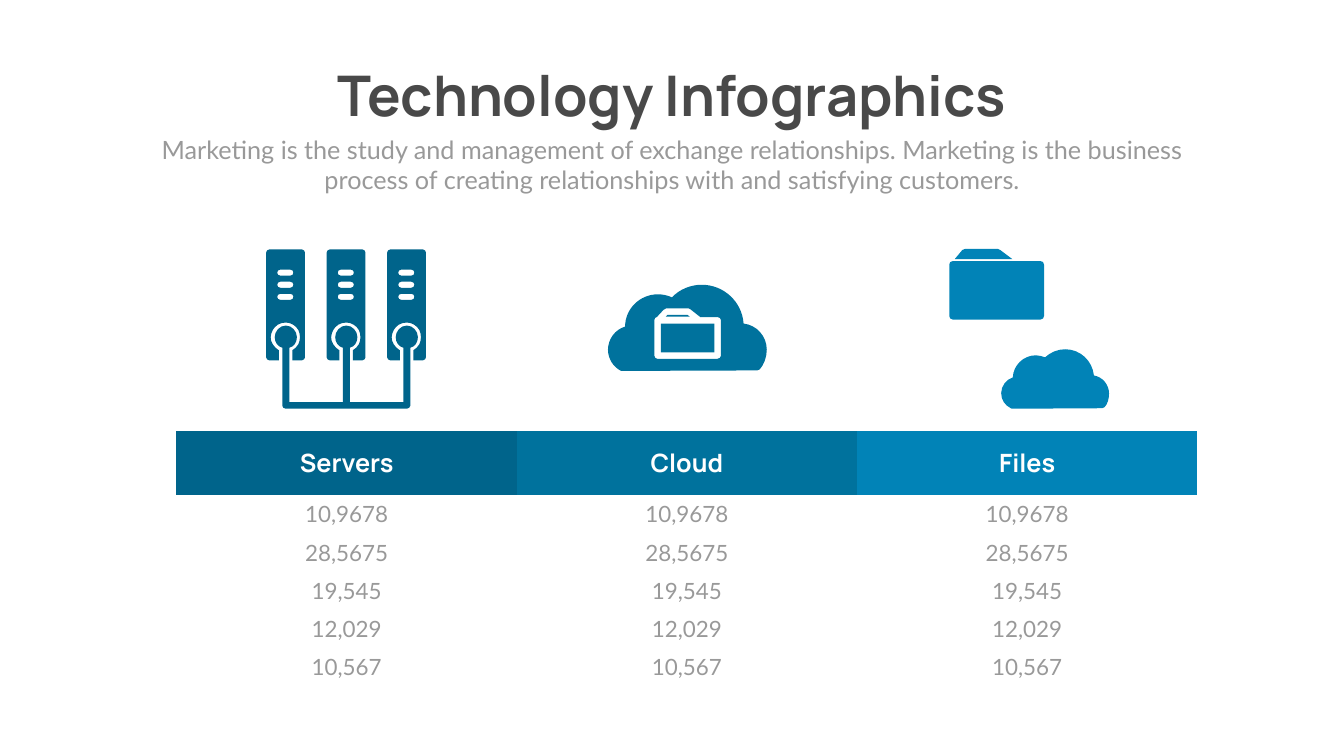
from lxml import etree
from pptx import Presentation
from pptx.dml.color import RGBColor
from pptx.enum.text import MSO_ANCHOR, MSO_AUTO_SIZE, PP_ALIGN
from pptx.oxml.ns import qn
from pptx.util import Inches, Pt

COLORS = {"title": "494949", "body": "999999", "white": "FFFFFF",
          "servers": "00648B", "cloud": "00729D", "files": "0183B7"}
NO_STYLE = "{2D5ABB26-0587-4C30-8999-92F81FD0307C}"


def write_text(frame, text, *, size, font, color, bold=False):
    para = frame.paragraphs[0]
    para.alignment = PP_ALIGN.CENTER
    span = para.add_run()
    span.text = text
    span.font.size = Pt(size)
    span.font.name = font
    span.font.bold = bold
    span.font.color.rgb = RGBColor.from_string(COLORS[color])


def draw_icon(contours, color):
    """Fill contours made of (x, y) corners and six-number Bezier curves."""
    builder = None
    for contour in contours:
        ends = [(Inches(step[-2]), Inches(step[-1])) for step in contour]
        if builder is None:
            builder = page.shapes.build_freeform(*ends[0], scale=1.0)
        else:
            builder.move_to(*ends[0])
        builder.add_line_segments(ends[1:], close=True)
    icon = builder.convert_to_shape()
    icon.shadow.inherit = False
    icon.fill.solid()
    icon.fill.fore_color.rgb = RGBColor.from_string(COLORS[color])
    icon.line.fill.background()

    # Turn the segments that have control points into curves
    segments = list(icon._element.iter(qn("a:lnTo")))
    steps = [step for contour in contours for step in contour[1:]]
    for segment, step in zip(segments, steps):
        if len(step) == 6:
            curve = etree.Element(qn("a:cubicBezTo"))
            for x, y in zip(step[::2], step[1::2]):
                etree.SubElement(curve, qn("a:pt"), x=str(Inches(x) - icon.left),
                                 y=str(Inches(y) - icon.top))
            segment.getparent().replace(segment, curve)


deck = Presentation()
deck.slide_width, deck.slide_height = Inches(26.66), Inches(15)
page = deck.slides.add_slide(deck.slide_layouts[6])

# Title and subtitle
box = page.shapes.add_textbox(Inches(6.04), Inches(1.15), Inches(14.59), Inches(1.45))
box.text_frame.word_wrap = False
box.text_frame.auto_size = MSO_AUTO_SIZE.SHAPE_TO_FIT_TEXT
write_text(box.text_frame, "Technology Infographics",
           size=80, font="Manrope", color="title", bold=True)

box = page.shapes.add_textbox(Inches(2.92), Inches(2.61), Inches(20.82), Inches(1.31))
box.text_frame.word_wrap = True
box.text_frame.auto_size = MSO_AUTO_SIZE.SHAPE_TO_FIT_TEXT
write_text(box.text_frame,
           "Marketing is the study and management of exchange relationships. "
           "Marketing is the business process of creating relationships with "
           "and satisfying customers.",
           size=36, font="Lato", color="body")

# Cloud icon with a folder cut out
draw_icon([
    [(13.68, 6.28), (13.21, 6.28), (13.24, 6.25), (13.64, 6.25)],
    [(13.11, 6.99), (14.17, 6.99), (14.17, 6.42), (13.11, 6.42)],
    [(15.21, 6.94), (15.21, 7.09, 15.15, 7.24, 15.07, 7.33),
     (15.05, 7.34, 15.04, 7.35, 15.02, 7.35), (12.32, 7.36),
     (12.16, 7.28, 12.06, 7.11, 12.06, 6.94), (12.06, 6.73, 12.2, 6.54, 12.4, 6.48),
     (12.4, 6.13, 12.69, 5.84, 13.05, 5.84), (13.15, 5.84, 13.24, 5.86, 13.33, 5.9),
     (13.48, 5.74, 13.7, 5.65, 13.92, 5.65), (14.36, 5.65, 14.72, 5.99, 14.75, 6.42),
     (15.01, 6.45, 15.21, 6.67, 15.21, 6.94)],
    [(14.3, 6.35), (14.3, 6.32, 14.27, 6.29, 14.23, 6.29), (13.89, 6.29), (13.7, 6.14),
     (13.69, 6.13, 13.67, 6.12, 13.66, 6.12), (13.21, 6.12),
     (13.19, 6.12, 13.17, 6.13, 13.16, 6.15), (13.03, 6.29),
     (13, 6.29, 12.98, 6.32, 12.98, 6.35), (12.98, 7.06),
     (12.98, 7.09, 13.01, 7.12, 13.04, 7.12), (14.23, 7.12),
     (14.27, 7.12, 14.3, 7.09, 14.3, 7.06)],
], "cloud")

# Files icon: small cloud, folder front, folder tab
draw_icon([
    [(21.7, 7.45), (21.67, 7.16, 21.43, 6.93, 21.13, 6.93),
     (20.98, 6.93, 20.84, 6.99, 20.73, 7.09), (20.67, 7.07, 20.61, 7.05, 20.55, 7.05),
     (20.3, 7.05, 20.1, 7.25, 20.09, 7.49), (19.96, 7.53, 19.86, 7.66, 19.86, 7.8),
     (19.86, 7.93, 19.93, 8.04, 20.05, 8.1), (20.07, 8.11), (21.86, 8.1),
     (21.87, 8.1, 21.89, 8.09, 21.91, 8.08), (21.97, 8.02, 22, 7.91, 22, 7.81),
     (22, 7.63, 21.87, 7.48, 21.7, 7.45)],
    [(20.71, 5.25), (20.71, 6.27), (20.71, 6.31, 20.68, 6.34, 20.64, 6.34), (18.9, 6.34),
     (18.86, 6.34, 18.83, 6.31, 18.83, 6.27), (18.83, 5.25),
     (18.83, 5.21, 18.86, 5.18, 18.9, 5.18), (20.64, 5.18),
     (20.68, 5.18, 20.71, 5.21, 20.71, 5.25)],
    [(20.08, 5.14), (18.94, 5.14), (19.09, 4.96), (19.1, 4.95, 19.12, 4.94, 19.14, 4.94),
     (19.8, 4.94), (19.82, 4.94, 19.83, 4.95, 19.84, 4.96)],
], "files")

# Servers icon: three cabinets with slots, joined by one cable
servers = []
cable = [(5.67, 8.11), (5.63, 8.11, 5.6, 8.08, 5.6, 8.05)]
for number in range(3):
    x = 5.67 + 1.2 * number
    servers.append([
        (x - .26, 6.83), (x - .29, 6.79, x - .3, 6.74, x - .3, 6.69),
        (x - .3, 6.64, x - .28, 6.59, x - .26, 6.55), (x - .21, 6.46, x - .12, 6.4, x, 6.4),
        (x + .1, 6.4, x + .2, 6.46, x + .25, 6.55),
        (x + .27, 6.59, x + .28, 6.64, x + .28, 6.69),
        (x + .28, 6.74, x + .27, 6.79, x + .25, 6.83),
        (x + .22, 6.88, x + .18, 6.92, x + .13, 6.95), (x + .13, 7.15), (x + .32, 7.15),
        (x + .35, 7.15, x + .38, 7.12, x + .38, 7.09), (x + .38, 5.01),
        (x + .38, 4.98, x + .35, 4.95, x + .32, 4.95), (x - .33, 4.95),
        (x - .36, 4.95, x - .39, 4.98, x - .39, 5.01), (x - .39, 7.09),
        (x - .39, 7.12, x - .36, 7.15, x - .33, 7.15), (x - .14, 7.15), (x - .14, 6.95),
        (x - .19, 6.92, x - .23, 6.88, x - .26, 6.83)])
    for row in range(3):
        y = 5.35 + .24 * row
        servers.append([
            (x - .11, y), (x + .09, y), (x + .17, y, x + .17, y + .12, x + .09, y + .12),
            (x - .11, y + .12), (x - .19, y + .12, x - .19, y, x - .11, y)])
    cable += [
        (x - .07, 7.98), (x - .07, 6.9), (x - .16, 6.88, x - .22, 6.79, x - .22, 6.69),
        (x - .22, 6.57, x - .12, 6.46, x, 6.46), (x + .12, 6.46, x + .22, 6.57, x + .22, 6.69),
        (x + .22, 6.79, x + .16, 6.88, x + .07, 6.9), (x + .07, 7.98)]
cable += [(8.14, 8.05), (8.14, 8.08, 8.1, 8.11, 8.07, 8.11)]
draw_icon(servers + [cable], "servers")

# Table: coloured headings, the same figures in every column
headings = {"Servers": "servers", "Cloud": "cloud", "Files": "files"}
figures = ["10,9678", "28,5675", "19,545", "12,029", "10,567"]
holder = page.shapes.add_table(len(figures) + 1, len(headings), Inches(3.5), Inches(8.55),
                               Inches(20.25), Inches(5.07))
table = holder.table
table.horz_banding = False
table._tbl.tblPr.find("{*}tableStyleId").text = NO_STYLE
for index, row in enumerate(table.rows):
    row.height = Inches(.76 if index else 1.27)
for column, (heading, color) in enumerate(headings.items()):
    table.columns[column].width = Inches(6.75)
    for index, text in enumerate([heading] + figures):
        cell = table.cell(index, column)
        cell.vertical_anchor = MSO_ANCHOR.MIDDLE
        if index == 0:
            cell.fill.solid()
            cell.fill.fore_color.rgb = RGBColor.from_string(COLORS[color])
            write_text(cell.text_frame, text, size=36, font="Manrope", color="white", bold=True)
        else:
            cell.fill.background()
            write_text(cell.text_frame, text, size=32, font="Lato", color="body")

deck.save("out.pptx")
